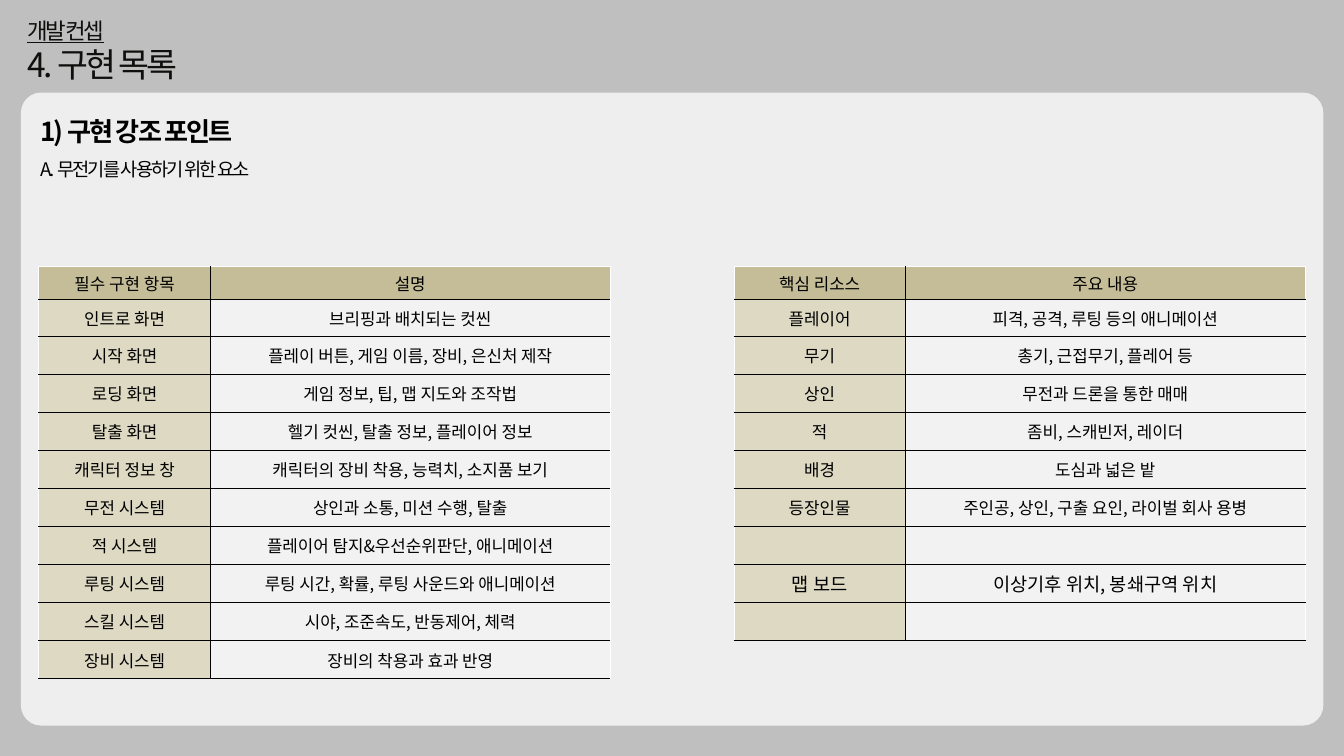
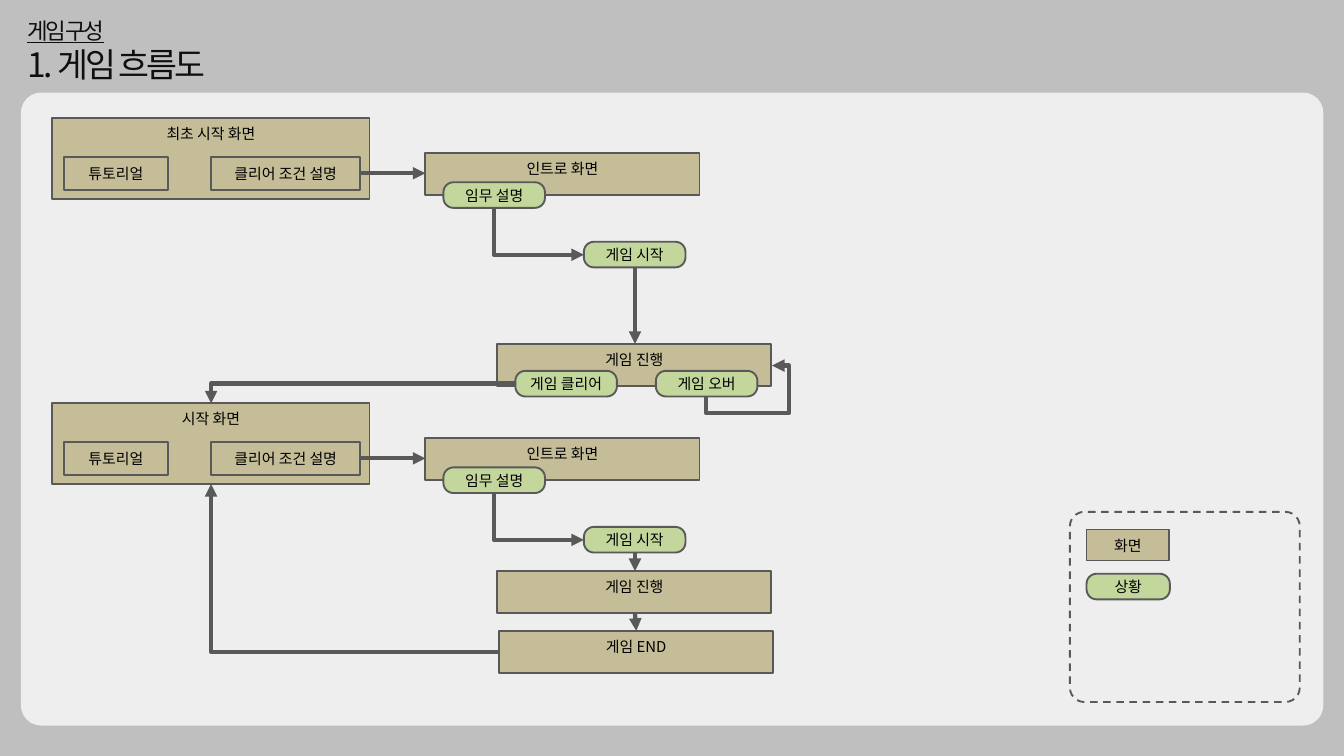
from lxml import etree
from pptx import Presentation
from pptx import util as u
from pptx.dml.color import RGBColor
from pptx.enum import dml, shapes, text
from pptx.oxml import ns

FONT = "Noto Sans CJK KR"
BACKGROUND, PANEL, INK, BLACK, WHITE = "BFBFBF", "EEEEEE", "0F0F0E", "000000", "FFFFFF"
SCREEN, SITUATION, OUTLINE = "C4BD97", "C3D69B", "595959"
LABEL_CELL, DETAIL_CELL = "DDD9C3", "F2F2F2"
TABLE_TOP, COLUMN_WIDTHS = 10.06, (6.48, 15.11)
HEADER_HEIGHT, FIRST_HEIGHT, ROW_HEIGHT = 1.27, 1.37, 1.44
SCREEN_SIZE, PILL_SIZE = (10.36, 1.6), (3.84, 0.97)

FEATURES = [
    ("필수 구현 항목", "설명"),
    ("인트로 화면", "브리핑과 배치되는 컷씬"),
    ("시작 화면", "플레이 버튼, 게임 이름, 장비, 은신처 제작"),
    ("로딩 화면", "게임 정보, 팁, 맵 지도와 조작법"),
    ("탈출 화면", "헬기 컷씬, 탈출 정보, 플레이어 정보"),
    ("캐릭터 정보 창", "캐릭터의 장비 착용, 능력치, 소지품 보기"),
    ("무전 시스템", "상인과 소통, 미션 수행, 탈출"),
    ("적 시스템", "플레이어 탐지&우선순위판단, 애니메이션"),
    ("루팅 시스템", "루팅 시간, 확률, 루팅 사운드와 애니메이션"),
    ("스킬 시스템", "시야, 조준속도, 반동제어, 체력"),
    ("장비 시스템", "장비의 착용과 효과 반영"),
]
RESOURCES = [
    ("핵심 리소스", "주요 내용"),
    ("플레이어", "피격, 공격, 루팅 등의 애니메이션"),
    ("무기", "총기, 근접무기, 플레어 등"),
    ("상인", "무전과 드론을 통한 매매"),
    ("적", "좀비, 스캐빈저, 레이더"),
    ("배경", "도심과 넓은 밭"),
    ("등장인물", "주인공, 상인, 구출 요인, 라이벌 회사 용병"),
    ("", ""),
    ("맵 보드", "이상기후 위치, 봉쇄구역 위치"),
    ("", ""),
]


def rgb(value):
    """Turn a hex string into a colour."""
    return RGBColor.from_string(value)


def add_child(parent, tag, **attributes):
    """Append a drawing element to its parent."""
    return etree.SubElement(parent, ns.qn(tag), attributes)


class Deck:
    """Holds the style and the current slide."""

    def __init__(self):
        """Open an empty wide presentation."""
        self.presentation = Presentation()
        self.presentation.slide_width = u.Cm(50.8)
        self.presentation.slide_height = u.Cm(28.58)
        self.slide = None

    def new_slide(self, section, title):
        """Start a slide with its heading and light panel."""
        self.slide = self.presentation.slides.add_slide(self.presentation.slide_layouts[6])
        fill = self.slide.background.fill
        fill.solid()
        fill.fore_color.rgb = rgb(BACKGROUND)
        heading = self.text_box((0.79, 0.5, 15.95, 2.82), [section, title], (24, 36), INK, -3)
        heading.vertical_anchor = text.MSO_ANCHOR.MIDDLE
        heading.paragraphs[0].runs[0].font.underline = True
        self.shape((0.79, 3.5, 49.23, 23.93), PANEL, corner=0.032, outline=None)

    def style(self, paragraph, size, color=BLACK, spacing=None):
        """Give every run of a paragraph the deck font."""
        for run in paragraph.runs:
            run.font.name = FONT
            run.font.size = u.Pt(size)
            run.font.color.rgb = rgb(color)
            properties = run.font._element
            add_child(properties, "a:ea", typeface=FONT)
            if spacing:
                properties.set("spc", str(spacing * 100))

    def text_box(self, box, lines, sizes, color, spacing):
        """Add a text box with one size for each line."""
        frame = self.slide.shapes.add_textbox(*map(u.Cm, box)).text_frame
        frame.word_wrap = True
        frame.auto_size = text.MSO_AUTO_SIZE.SHAPE_TO_FIT_TEXT
        frame.text = "\n".join(lines)
        for paragraph, size in zip(frame.paragraphs, sizes):
            self.style(paragraph, size, color, spacing)
        return frame

    def shape(self, box, fill=None, label="", corner=None, outline=OUTLINE):
        """Add a rectangle, rounded when a corner is given."""
        kinds = shapes.MSO_SHAPE
        kind = kinds.RECTANGLE if corner is None else kinds.ROUNDED_RECTANGLE
        shape = self.slide.shapes.add_shape(kind, *map(u.Cm, box))
        shape.shadow.inherit = False
        if corner is not None:
            shape.adjustments[0] = corner
        if fill:
            shape.fill.solid()
            shape.fill.fore_color.rgb = rgb(fill)
        else:
            shape.fill.background()
        if outline:
            shape.line.color.rgb = rgb(outline)
            shape.line.width = u.Pt(2)
        else:
            shape.line.fill.background()
        if label:
            frame = shape.text_frame
            frame.text = label
            frame.vertical_anchor = text.MSO_ANCHOR.MIDDLE
            frame.paragraphs[0].alignment = text.PP_ALIGN.CENTER
            self.style(frame.paragraphs[0], 16)
        return shape

    def screen(self, left, top, label, size=SCREEN_SIZE):
        """Add a screen box with its label at the top."""
        frame = self.shape((left, top, *size), SCREEN, label).text_frame
        frame.vertical_anchor = text.MSO_ANCHOR.TOP
        frame.margin_left = frame.margin_right = u.Cm(0.25)
        frame.margin_top = frame.margin_bottom = u.Cm(0.25)

    def pill(self, left, top, label, size=PILL_SIZE):
        """Add a rounded situation box."""
        self.shape((left, top, *size), SITUATION, label, corner=0.392)

    def arrow(self, start, end, preset="line", adjustments=(), down_first=False):
        """Add an arrow; a bent one leaves sideways unless down_first."""
        if down_first:
            middle_x, middle_y = ((a + b) / 2 for a, b in zip(start, end))
            half_width, half_height = (end[1] - start[1]) / 2, (end[0] - start[0]) / 2
            start = middle_x + half_width, middle_y - half_height
            end = middle_x - half_width, middle_y + half_height
        connector = self.slide.shapes.add_connector(
            shapes.MSO_CONNECTOR.STRAIGHT, *map(u.Cm, (*start, *end)))
        connector.line.color.rgb = rgb(OUTLINE)
        connector.line.width = u.Pt(4.5)
        properties = connector._element.spPr
        if down_first:
            properties.find(ns.qn("a:xfrm")).set("rot", str(270 * 60000))
        geometry = properties.find(ns.qn("a:prstGeom"))
        geometry.set("prst", preset)
        for number, value in enumerate(adjustments, 1):
            add_child(geometry.find(ns.qn("a:avLst")), "a:gd",
                      name=f"adj{number}", fmla=f"val {round(value * 100000)}")
        add_child(properties.find(ns.qn("a:ln")), "a:tailEnd", type="triangle")
        add_child(properties, "a:effectLst")

    def cell(self, cell, label, fill, size, borders):
        """Fill one table cell and draw its four borders."""
        properties = cell._tc.get_or_add_tcPr()
        for side, color in zip("LRTB", borders):
            line = add_child(properties, f"a:ln{side}", w=str(u.Pt(1)))
            add_child(add_child(line, "a:solidFill"), "a:srgbClr", val=color)
        cell.fill.solid()
        cell.fill.fore_color.rgb = rgb(fill)
        cell.vertical_anchor = text.MSO_ANCHOR.MIDDLE
        cell.text_frame.text = label
        paragraph = cell.text_frame.paragraphs[0]
        paragraph.alignment = text.PP_ALIGN.CENTER
        self.style(paragraph, size)

    def table(self, left, rows, large_row=None):
        """Add a two-column table with a header row."""
        heights = [HEADER_HEIGHT, FIRST_HEIGHT] + [ROW_HEIGHT] * (len(rows) - 2)
        box = left, TABLE_TOP, sum(COLUMN_WIDTHS), sum(heights)
        table = self.slide.shapes.add_table(len(rows), 2, *map(u.Cm, box)).table
        table.first_row = table.horz_banding = False
        for column, width in zip(table.columns, COLUMN_WIDTHS):
            column.width = u.Cm(width)
        for row_index, (row, height) in enumerate(zip(rows, heights)):
            table.rows[row_index].height = u.Cm(height)
            top = BLACK if row_index else WHITE
            fills = (LABEL_CELL, DETAIL_CELL) if row_index else (SCREEN, SCREEN)
            sides = (WHITE, BLACK), (BLACK, WHITE)
            size = 20 if row_index == large_row else 18
            for column_index, label in enumerate(row):
                self.cell(table.cell(row_index, column_index), label, fills[column_index],
                          size, (*sides[column_index], top, BLACK))

    def opening(self, top, label):
        """Add the steps from a start screen to the start of the game."""
        self.screen(1.98, top, label, (11.99, 3.05))
        self.shape((2.41, top + 1.45, 3.94, 1.27), SCREEN, "튜토리얼")
        self.shape((7.98, top + 1.45, 5.64, 1.27), SCREEN, "클리어 조건 설명")
        self.screen(16.08, top + 1.3, "인트로 화면")
        self.arrow((13.61, top + 2.08), (16.08, top + 2.08))
        self.pill(16.76, top + 2.42, "임무 설명")
        self.pill(22.07, top + 4.67, "게임 시작")
        self.arrow((18.67, top + 3.38), (22.07, top + 5.16), "bentConnector2", down_first=True)


def build_features(deck):
    """Build the list of features and resources."""
    deck.new_slide("개발 컨셉", "4. 구현 목록")
    deck.table(1.47, FEATURES)
    lines = ["1) 구현 강조 포인트", "A. 무전기를 사용하기 위한 요소"]
    frame = deck.text_box((1.27, 3.63, 23.7, 3.33), lines, (28, 20), BLACK, -2)
    for paragraph in frame.paragraphs:
        paragraph.line_spacing = 1.5
    frame.paragraphs[0].runs[0].font.bold = True
    deck.table(27.74, RESOURCES, large_row=8)


def build_flow(deck):
    """Build the flow chart of the game."""
    deck.new_slide("게임 구성", "1. 게임 흐름도")
    deck.opening(4.47, "최초 시작 화면")
    deck.screen(18.8, 13, "게임 진행")
    deck.arrow((24, 10.1), (24, 13))
    deck.pill(19.48, 14.02, "게임 클리어")
    deck.pill(24.79, 14.02, "게임 오버")
    deck.arrow((26.7, 14.99), (29.18, 13.82), "bentConnector4", (-0.54, 1.26), down_first=True)

    legend = deck.shape((40.44, 19.35, 8.69, 7.19), corner=0.076)
    legend.line.dash_style = dml.MSO_LINE.DASH
    deck.screen(41.07, 20.02, "화면", (3.12, 1.17))
    deck.pill(41.07, 21.69, "상황", (3.15, 0.97))

    deck.opening(15.25, "시작 화면")
    deck.screen(18.8, 21.59, "게임 진행")
    deck.arrow((24, 20.88), (24, 21.59))
    deck.screen(18.87, 23.85, "게임 END")
    deck.arrow((19.48, 14.5), (7.98, 15.25), "bentConnector2")
    deck.arrow((18.87, 24.64), (7.98, 18.3), "bentConnector2")
    deck.arrow((24, 23.17), (24.05, 23.85))


def main():
    """Build both slides and save them."""
    deck = Deck()
    build_features(deck)
    build_flow(deck)
    deck.presentation.save("out.pptx")


if __name__ == "__main__":
    main()
